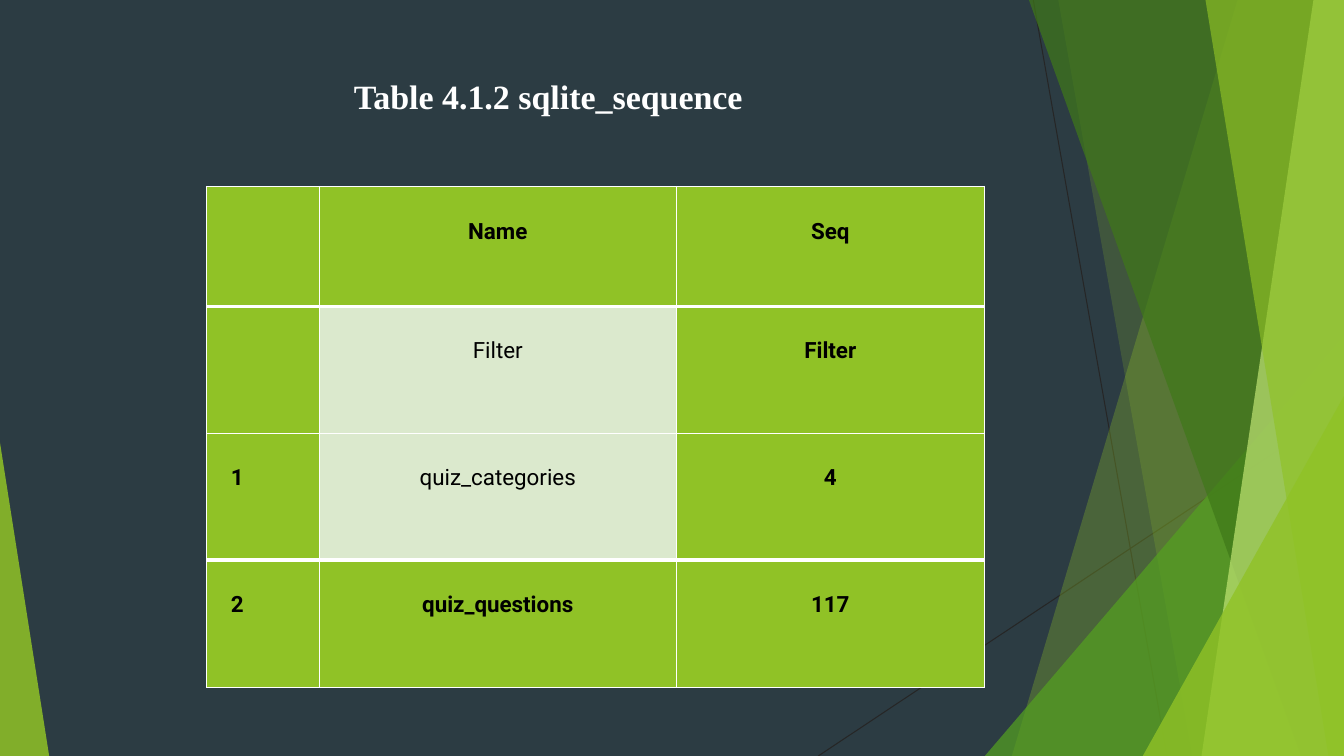
"""Builds a slide with a small sequence table on a faceted green background."""
from dataclasses import dataclass

from lxml import etree
from pptx import Presentation
from pptx import util as u
from pptx.dml.color import RGBColor
from pptx.enum import shapes, text
from pptx.oxml import ns


@dataclass(frozen=True)
class Theme:
    back: str = "2C3C43"
    green: str = "90C226"
    mid: str = "54A021"
    dark: str = "3F7819"
    light: str = "C0E474"
    pale: str = "DBE9CD"
    white: str = "FFFFFF"
    ink: str = "000000"
    hairline: str = "262626"
    title_font: str = "Times New Roman"
    table_font: str = "Roboto"
    title_size: float = 24.3
    table_size: float = 16
    line_height: float = 13.8


WIDTH, HEIGHT = 33.87, 19.05
RAYS = [((26.04, 0), (29.41, HEIGHT)), ((WIDTH, 10.24), (20.62, HEIGHT))]
COLUMNS = [2.84, 8.99, 7.77]
ROW_HEIGHTS = [3.02, 3.2, 3.2, 3.2]
ROW_EDGES = [1, 3, 1, 3, 1]
ROWS = [
    ["", "Name", "Seq"],
    ["", "Filter", "Filter"],
    ["1", "quiz_categories", "4"],
    ["2", "quiz_questions", "117"],
]


def rgb(color):
    return RGBColor.from_string(color)


def write(frame, words, *, font, size, color, bold=True, align=text.PP_ALIGN.CENTER, spacing=None):
    para = frame.paragraphs[0]
    para.alignment = align
    para.line_spacing = spacing
    span = para.add_run()
    span.text = words
    span.font.name = font
    span.font.size = u.Pt(size)
    span.font.bold = bold
    span.font.color.rgb = rgb(color)


class SlideBuilder:
    def __init__(self, page, theme):
        self.page = page
        self.theme = theme
        page.background.fill.solid()
        page.background.fill.fore_color.rgb = rgb(theme.back)

    def ray(self, start, end):
        points = [u.Cm(value) for value in (*start, *end)]
        line = self.page.shapes.add_connector(shapes.MSO_CONNECTOR.STRAIGHT, *points)
        line.line.color.rgb = rgb(self.theme.hairline)
        line.line.width = u.Pt(0.75)
        etree.SubElement(line._element.spPr, ns.qn("a:effectLst"))

    def paint(self, shape, color, opacity):
        shape.shadow.inherit = False
        shape.line.fill.background()
        shape.fill.solid()
        shape.fill.fore_color.rgb = rgb(color)
        tint = shape._element.spPr.find(".//" + ns.qn("a:srgbClr"))
        etree.SubElement(tint, ns.qn("a:alpha"), val=str(opacity * 1000))

    def facet(self, top_x, bottom_x, color, opacity):
        outline = self.page.shapes.build_freeform(u.Cm(top_x), u.Cm(0))
        corners = [(WIDTH, 0), (WIDTH, HEIGHT), (bottom_x, HEIGHT)]
        outline.add_line_segments([(u.Cm(x), u.Cm(y)) for x, y in corners], close=True)
        self.paint(outline.convert_to_shape(), color, opacity)

    def corner(self, left, top, width, apex, color, opacity):
        box = [u.Cm(value) for value in (left, top, width, HEIGHT - top)]
        shape = self.page.shapes.add_shape(shapes.MSO_SHAPE.ISOSCELES_TRIANGLE, *box)
        shape.adjustments[0] = apex
        self.paint(shape, color, opacity)

    def title(self, words, left, top, width, height):
        box = self.page.shapes.title
        box.left, box.top, box.width, box.height = map(u.Cm, (left, top, width, height))
        frame = box.text_frame
        frame.vertical_anchor = text.MSO_ANCHOR.TOP
        frame.margin_top = u.Cm(0.2)
        write(frame, words, font=self.theme.title_font, size=self.theme.title_size,
              color=self.theme.white)
        self.page.shapes._spTree.append(box._element)

    def borders(self, cell, top, bottom):
        props = cell._tc.get_or_add_tcPr()
        for side, points in zip("LRTB", (1, 1, top, bottom)):
            line = etree.SubElement(props, ns.qn(f"a:ln{side}"), w=str(u.Pt(points)))
            fill = etree.SubElement(line, ns.qn("a:solidFill"))
            etree.SubElement(fill, ns.qn("a:srgbClr"), val=self.theme.white)

    def cell(self, cell, words, pale, label):
        theme = self.theme
        cell.fill.solid()
        cell.fill.fore_color.rgb = rgb(theme.pale if pale else theme.green)
        cell.margin_left = u.Cm(0.61 if label else 0)
        cell.margin_right = cell.margin_bottom = 0
        cell.margin_top = u.Pt(2 * theme.line_height)
        if words:
            write(cell.text_frame, words, font=theme.table_font, size=theme.table_size,
                  color=theme.ink, bold=not pale, spacing=u.Pt(theme.line_height),
                  align=text.PP_ALIGN.LEFT if label else text.PP_ALIGN.CENTER)

    def table(self, rows, left, top):
        size = (u.Cm(sum(COLUMNS)), u.Cm(sum(ROW_HEIGHTS)))
        grid = self.page.shapes.add_table(len(rows), len(COLUMNS), u.Cm(left), u.Cm(top), *size).table
        for column, width in zip(grid.columns, COLUMNS):
            column.width = u.Cm(width)
        for r, words in enumerate(rows):
            grid.rows[r].height = u.Cm(ROW_HEIGHTS[r])
            for c, word in enumerate(words):
                cell = grid.cell(r, c)
                self.borders(cell, ROW_EDGES[r], ROW_EDGES[r + 1])
                self.cell(cell, word, pale=c == 1 and r in (1, 2), label=c == 0)


def main():
    theme = Theme()
    deck = Presentation()
    deck.slide_width, deck.slide_height = u.Cm(WIDTH), u.Cm(HEIGHT)
    slide = SlideBuilder(deck.slides.add_slide(deck.slide_layouts[5]), theme)
    for start, end in RAYS:
        slide.ray(start, end)
    slide.facet(31.19, 25.5, theme.green, 30)
    slide.facet(26.67, 30.05, theme.green, 20)
    slide.corner(24.82, 8.46, 9.05, 1, theme.mid, 72)
    slide.facet(25.93, 32.79, theme.dark, 70)
    slide.facet(33.1, 30.28, theme.light, 70)
    slide.facet(30.38, 33.48, theme.green, 65)
    slide.corner(28.8, 9.98, 5.07, 1, theme.green, 80)
    slide.corner(0, 11.15, 1.24, 0, theme.green, 85)
    slide.title("Table 4.1.2 sqlite_sequence", 1.88, 1.7, 23.88, 2.64)
    slide.table(ROWS, 5.21, 4.7)
    deck.save("out.pptx")


if __name__ == "__main__":
    main()
